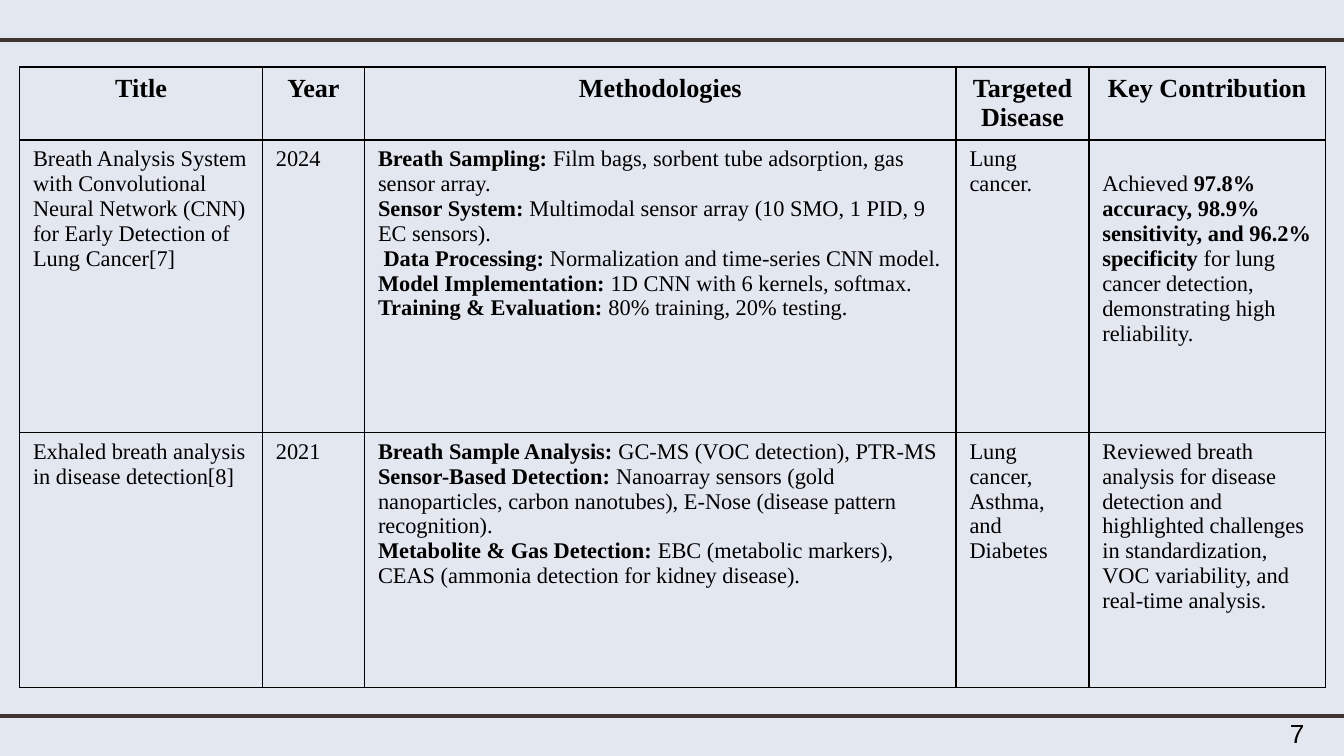
from lxml import etree
from pptx import Presentation
from pptx.dml.color import RGBColor
from pptx.enum.shapes import MSO_CONNECTOR
from pptx.enum.text import MSO_AUTO_SIZE, PP_ALIGN
from pptx.oxml.ns import qn
from pptx.util import Cm, Pt

LINE = MSO_CONNECTOR.STRAIGHT
CENTER, LEFT = PP_ALIGN.CENTER, PP_ALIGN.LEFT

# Content: each cell is a list of paragraphs, *stars* mark bold
HEAD = ["Title", "Year", "Methodologies", "Targeted Disease", "Key Contribution"]
ROWS = [
    [
        ["Breath Analysis System with Convolutional Neural Network (CNN) "
         "for Early Detection of Lung Cancer[7]"],
        ["2024"],
        ["*Breath Sampling:* Film bags, sorbent tube adsorption, gas sensor array.",
         "*Sensor System:* Multimodal sensor array (10 SMO, 1 PID, 9 EC sensors).",
         " *Data Processing:* Normalization and time-series CNN model.",
         "*Model Implementation:* 1D CNN with 6 kernels, softmax.",
         "*Training & Evaluation:* 80% training, 20% testing."],
        ["Lung cancer."],
        ["Achieved *97.8% accuracy, 98.9% sensitivity, and 96.2% specificity* "
         "for lung cancer detection, demonstrating high reliability."],
    ],
    [
        ["Exhaled breath analysis in disease detection[8]"],
        ["2021"],
        ["*Breath Sample Analysis:* GC-MS (VOC detection), PTR-MS "
         "*Sensor-Based Detection:* Nanoarray sensors (gold nanoparticles, "
         "carbon nanotubes), E-Nose (disease pattern recognition).",
         "*Metabolite & Gas Detection:* EBC (metabolic markers), "
         "CEAS (ammonia detection for kidney disease)."],
        ["Lung cancer, Asthma, and Diabetes"],
        ["Reviewed breath analysis for disease detection and highlighted challenges "
         "in standardization, VOC variability, and real-time analysis."],
    ],
]
PAGE = "7"

THEME = {
    "back": RGBColor.from_string("E3E7F0"),
    "rule": RGBColor.from_string("3F3533"),
    "ink": RGBColor.from_string("000000"),
    "body": "Times New Roman",
    "num": "Arial",
    "big": Pt(14),
    "small": Pt(12),
}

# Layout in centimetres
WIDE, HIGH = 25.4, 14.29
RULES, OVER = [0.76, 13.54], 0.2
COLS = [4.59, 1.93, 11.18, 2.51, 4.47]
TALL = [1.38, 5.53, 4.82]
X, Y = 0.37, 1.27
DROP = 0.6  # top margin of the lowered cell


def style(para, face, size):
    para.font.name, para.font.size = face, size
    para.font.color.rgb = THEME["ink"]


def write(cell, lines, size, align):
    frame = cell.text_frame
    for n, line in enumerate(lines):
        para = frame.add_paragraph() if n else frame.paragraphs[0]
        para.alignment = align
        style(para, THEME["body"], size)
        for i, part in enumerate(line.split("*")):
            if part:
                run = para.add_run()
                run.text = part
                run.font.bold = i % 2 == 1


def border(cell):
    props = cell._tc.get_or_add_tcPr()
    for side in ("lnL", "lnR", "lnT", "lnB"):
        edge = etree.SubElement(props, qn("a:" + side), w=str(Pt(1)))
        fill = etree.SubElement(edge, qn("a:solidFill"))
        etree.SubElement(fill, qn("a:srgbClr"), val=str(THEME["ink"]))


deck = Presentation()
deck.slide_width, deck.slide_height = Cm(WIDE), Cm(HIGH)
slide = deck.slides.add_slide(deck.slide_layouts[6])
slide.background.fill.solid()
slide.background.fill.fore_color.rgb = THEME["back"]

# Rules above and below
for y in RULES:
    rule = slide.shapes.add_connector(LINE, Cm(-OVER), Cm(y), Cm(WIDE + OVER), Cm(y))
    rule.line.color.rgb, rule.line.width = THEME["rule"], Pt(2.25)
    etree.SubElement(rule._element.spPr, qn("a:effectLst"))

# Table of studies
table = slide.shapes.add_table(len(TALL), len(COLS), Cm(X), Cm(Y),
                               Cm(sum(COLS)), Cm(sum(TALL))).table
table.first_row = table.horz_banding = False
for col, width in zip(table.columns, COLS):
    col.width = Cm(width)
for row, height in zip(table.rows, TALL):
    row.height = Cm(height)

grid = [[[f"*{name}*"] for name in HEAD]] + ROWS
for r, row in enumerate(grid):
    size, align = (THEME["small"], LEFT) if r else (THEME["big"], CENTER)
    for c, lines in enumerate(row):
        cell = table.cell(r, c)
        write(cell, lines, size, align)
        border(cell)
        cell.fill.background()
table.cell(1, 4).margin_top = Cm(DROP)

# Page number
box = slide.shapes.add_textbox(Cm(24.13), Cm(13.44), Cm(2.54), Cm(0.86))
box.text_frame.word_wrap = True
box.text_frame.auto_size = MSO_AUTO_SIZE.SHAPE_TO_FIT_TEXT
para = box.text_frame.paragraphs[0]
para.text = PAGE
style(para, THEME["num"], THEME["big"])

deck.save("out.pptx")
